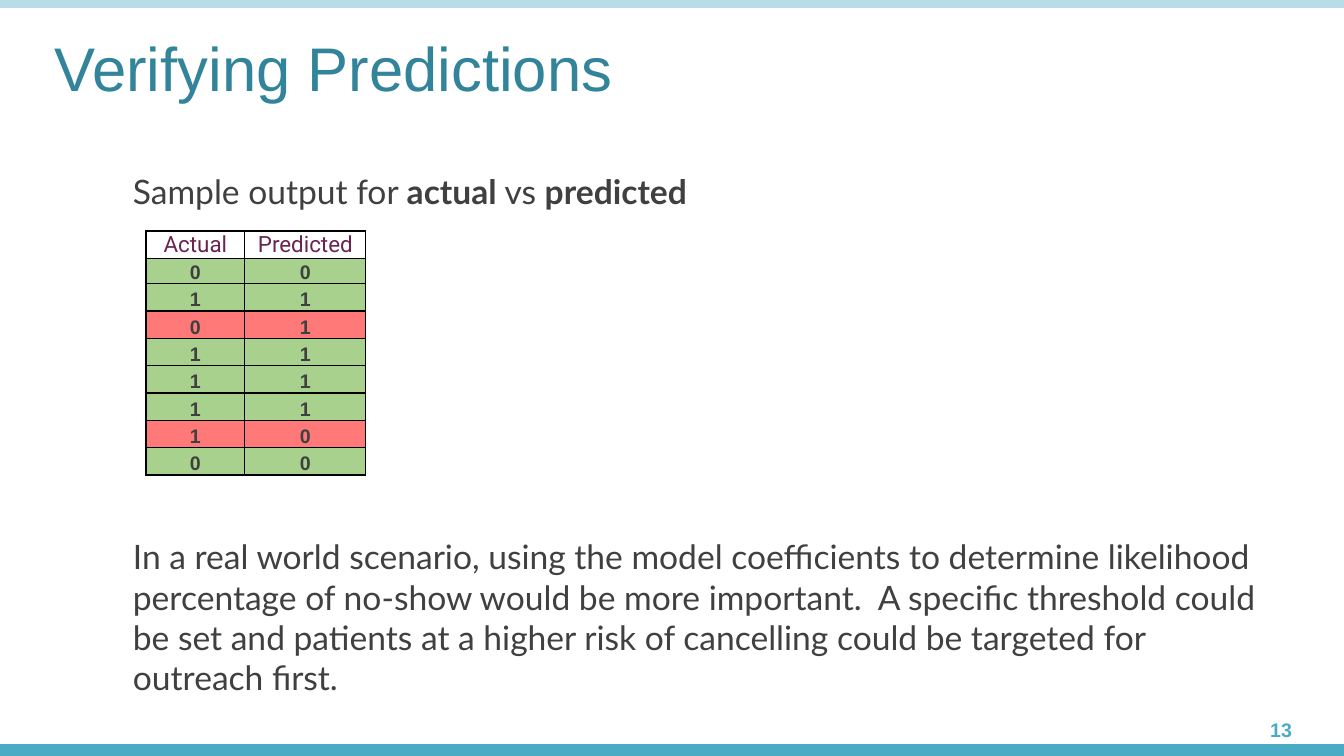
from typing import NamedTuple

import pptx
import pptx.dml.color
import pptx.enum.shapes
import pptx.enum.text
import pptx.oxml.ns
import pptx.util
from lxml import etree

Cm = pptx.util.Cm
RGBColor = pptx.dml.color.RGBColor
Align = pptx.enum.text.PP_ALIGN
Anchor = pptx.enum.text.MSO_ANCHOR

TEAL = RGBColor(0x4A, 0xAB, 0xC5)
PALE = RGBColor(0xB7, 0xDD, 0xE8)
DEEP = RGBColor(0x31, 0x84, 0x9A)
GREY = RGBColor(0x40, 0x40, 0x40)
PLUM = RGBColor(0x69, 0x24, 0x52)
GREEN = RGBColor(0xA9, 0xD1, 0x8E)
RED = RGBColor(0xFF, 0x79, 0x79)

WIDE, HIGH = 33.87, 19.05


class Style(NamedTuple):
    font: str
    size: int
    color: RGBColor
    bold: bool = False


class Box(NamedTuple):
    left: float
    top: float
    width: float
    height: float

    def place(self) -> list:
        return [Cm(side) for side in self]


class Band(NamedTuple):
    box: Box
    color: RGBColor


class Note(NamedTuple):
    box: Box
    runs: list
    align: Align = Align.LEFT
    inset: float = 0.25


TITLE = Style("Arial", 44, DEEP)
BODY = Style("Lato", 24, GREY)
STRONG = BODY._replace(bold=True)
HEAD = Style("Roboto", 16, PLUM)
DIGIT = Style("Arial", 14, GREY, True)
PAGE = Style("Arial", 14, TEAL, True)

BANDS = [
    Band(Box(0, HIGH - 0.3, WIDE, 0.3), TEAL),
    Band(Box(0, 0, WIDE, 0.2), PALE),
]
NOTES = [
    Note(Box(27.76, 17.96, 4.8, 0.86), [("13", PAGE)], Align.RIGHT, 0),
    Note(Box(3.1, 4.17, 17.65, 1.27), [
        ("Sample output for ", BODY), ("actual", STRONG),
        (" vs ", BODY), ("predicted", STRONG)]),
    Note(Box(3.1, 13.39, 28.98, 3.33), [
        ("In a real world scenario, using the model coefficients to determine "
         "likelihood percentage of no-show would be more important.  A specific "
         "threshold could be set and patients at a higher risk of cancelling "
         "could be targeted for outreach first.", BODY)]),
]
PAIRS = [(0, 0), (1, 1), (0, 1), (1, 1), (1, 1), (1, 1), (1, 0), (0, 0)]
COLS = [2.49, 3.05]
ROWS = [0.64] * 2 + [0.69] * 7


def add_run(para, text: str, style: Style) -> None:
    run = para.add_run()
    run.text = text
    run.font.name = style.font
    run.font.size = pptx.util.Pt(style.size)
    run.font.bold = style.bold
    run.font.color.rgb = style.color


def draw_band(slide, band: Band) -> None:
    shape = slide.shapes.add_shape(
        pptx.enum.shapes.MSO_SHAPE.RECTANGLE, *band.box.place())
    shape.shadow.inherit = False
    shape.fill.solid()
    shape.fill.fore_color.rgb = band.color
    shape.line.fill.background()


def draw_title(slide, text: str) -> None:
    title = slide.shapes.title
    title.left, title.top, title.width, title.height = Box(
        1.12, 0.84, 26.82, 1.24).place()
    frame = title.text_frame
    frame.auto_size = pptx.enum.text.MSO_AUTO_SIZE.NONE
    frame.vertical_anchor = Anchor.TOP
    para = frame.paragraphs[0]
    para.alignment = Align.LEFT
    para.line_spacing = 0.9
    add_run(para, text, TITLE)


def draw_note(slide, note: Note) -> None:
    frame = slide.shapes.add_textbox(*note.box.place()).text_frame
    frame.word_wrap = True
    frame.margin_left = frame.margin_right = Cm(note.inset)
    para = frame.paragraphs[0]
    para.alignment = note.align
    for text, style in note.runs:
        add_run(para, text, style)


def add_edges(cell) -> None:
    qn = pptx.oxml.ns.qn
    props = cell._tc.get_or_add_tcPr()
    for side in ("a:lnL", "a:lnR", "a:lnT", "a:lnB"):
        line = etree.SubElement(props, qn(side), w=str(pptx.util.Pt(1)))
        fill = etree.SubElement(line, qn("a:solidFill"))
        etree.SubElement(fill, qn("a:srgbClr"), val="000000")


def fill_cell(cell, text: str, style: Style, color: RGBColor | None) -> None:
    cell.margin_left = cell.margin_right = cell.margin_top = Cm(0.03)
    cell.margin_bottom = 0
    cell.vertical_anchor = Anchor.BOTTOM
    add_edges(cell)
    if color is None:
        cell.fill.background()
    else:
        cell.fill.solid()
        cell.fill.fore_color.rgb = color
    para = cell.text_frame.paragraphs[0]
    para.alignment = Align.CENTER
    add_run(para, text, style)


def draw_table(slide) -> None:
    box = Box(3.68, 5.82, sum(COLS), sum(ROWS))
    table = slide.shapes.add_table(len(ROWS), len(COLS), *box.place()).table
    table.first_row = table.horz_banding = False
    for col, width in zip(table.columns, COLS):
        col.width = Cm(width)
    for row, height in zip(table.rows, ROWS):
        row.height = Cm(height)
    for col, text in enumerate(("Actual", "Predicted")):
        fill_cell(table.cell(0, col), text, HEAD, None)
    # Green marks a right guess, red a wrong one
    for row, pair in enumerate(PAIRS, 1):
        color = GREEN if pair[0] == pair[1] else RED
        for col, value in enumerate(pair):
            fill_cell(table.cell(row, col), str(value), DIGIT, color)


def main() -> None:
    deck = pptx.Presentation()
    deck.slide_width, deck.slide_height = Cm(WIDE), Cm(HIGH)
    slide = deck.slides.add_slide(deck.slide_layouts[5])
    # Frame
    for band in BANDS:
        draw_band(slide, band)
    # Content
    draw_title(slide, "Verifying Predictions")
    draw_table(slide)
    for note in NOTES:
        draw_note(slide, note)
    deck.save("out.pptx")


if __name__ == "__main__":
    main()
